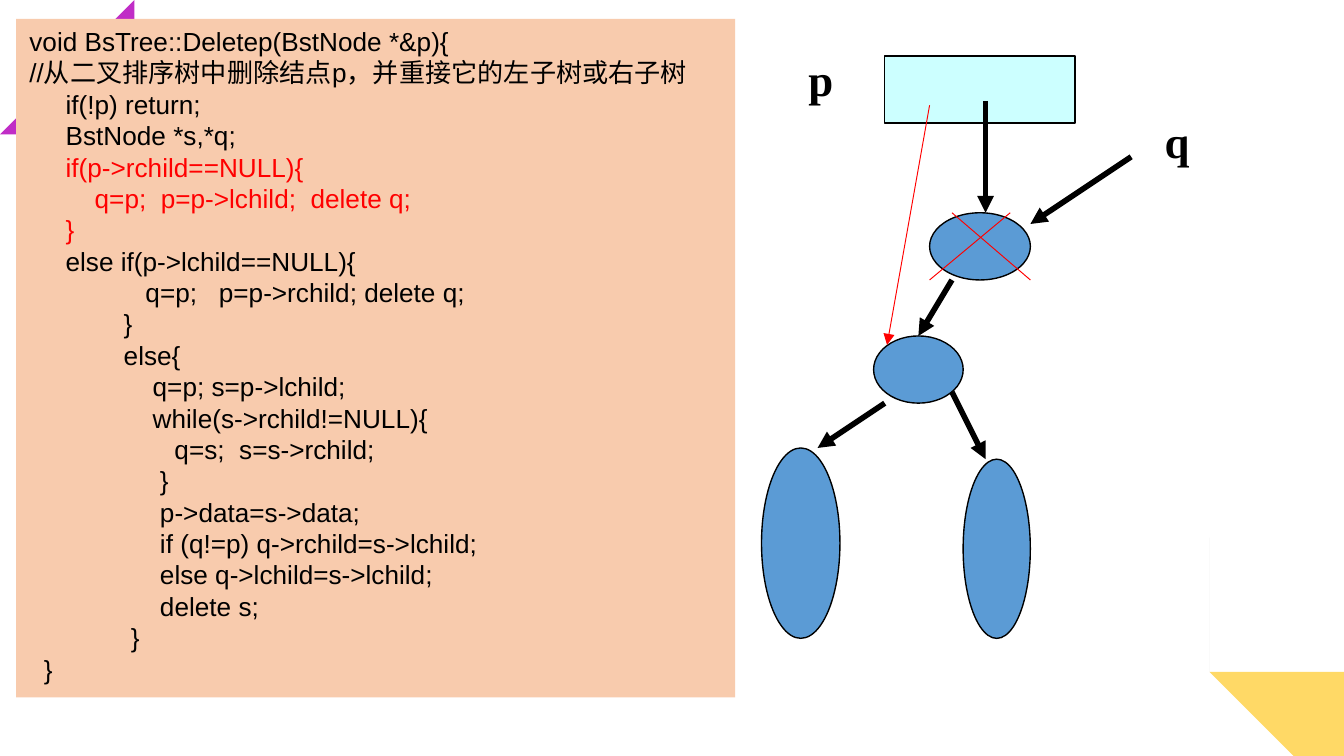
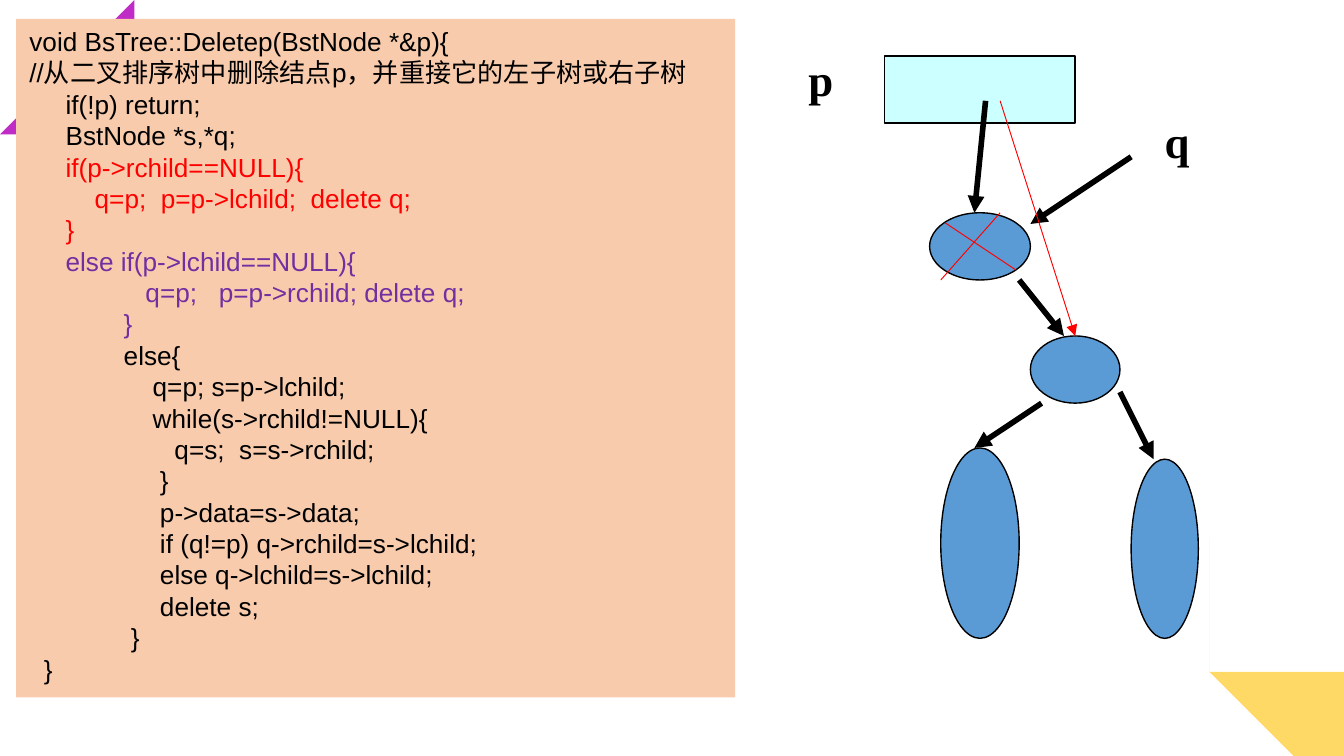
"""Build two slides on deleting a node from a binary search tree."""
from lxml import etree
from pptx import Presentation
from pptx.dml.color import RGBColor
from pptx.enum.shapes import MSO_CONNECTOR, MSO_SHAPE
from pptx.enum.text import MSO_ANCHOR, PP_ALIGN
from pptx.oxml.ns import qn
from pptx.util import Inches, Pt

STRAIGHT = MSO_CONNECTOR.STRAIGHT
RECTANGLE, OVAL = MSO_SHAPE.RECTANGLE, MSO_SHAPE.OVAL
TOP, LEFT = MSO_ANCHOR.TOP, PP_ALIGN.LEFT

BLACK = RGBColor(0x00, 0x00, 0x00)
RED = RGBColor(0xFF, 0x00, 0x00)
VIOLET = RGBColor(0x70, 0x30, 0xA0)
PEACH = RGBColor(0xF8, 0xCB, 0xAD)
NODE_BLUE = RGBColor(0x5B, 0x9B, 0xD5)
PALE_CYAN = RGBColor(0xCC, 0xFF, 0xFF)
MAGENTA = RGBColor(0xC0, 0x2D, 0xC6)
GREY = RGBColor(0xD9, 0xD9, 0xD9)
YELLOW = RGBColor(0xFF, 0xD9, 0x66)

CELL = Inches(1) / 12
COLUMNS, ROWS = 120, 67.5

CHEVRONS = [
    (MAGENTA, [(1.12, 0.51), (0.59, 1.02), (0.31, 1.02), (0.87, 0.5), (0.35, -0.01), (0.62, -0.01)]),
    (GREY, [(9.27, 4.74), (8.96, 5.04), (8.79, 5.04), (9.12, 4.74), (8.82, 4.44), (8.98, 4.44)]),
    (YELLOW, [(9.27, 5.12), (9.79, 5.62), (10.08, 5.63), (9.52, 5.12), (10.02, 4.62), (9.76, 4.61)]),
]

CODE = """void BsTree::Deletep(BstNode *&p){
//从二叉排序树中删除结点p，并重接它的左子树或右子树
     if(!p) return;
     BstNode *s,*q;
     if(p->rchild==NULL){
         q=p;  p=p->lchild;  delete q;
     }
     else if(p->lchild==NULL){
                q=p;   p=p->rchild; delete q;
             }
             else{
                 q=p; s=p->lchild;
                 while(s->rchild!=NULL){
                    q=s;  s=s->rchild;
                  }
                  p->data=s->data;
                  if (q!=p) q->rchild=s->lchild;
                  else q->lchild=s->lchild;
                  delete s;
              }
  }"""
NO_RIGHT_CHILD = dict.fromkeys(range(4, 7), RED)
NO_LEFT_CHILD = dict.fromkeys(range(7, 10), VIOLET)

DELETED_NODE = (83, 19, 9, 6)
POINTER_SLOT = (79, 5, 17, 6)
Q_ARROW = (101, 14, 92, 20)
LABELS = [("p", 71, 4), ("q", 102.8, 9.6)]

CASES = [
    {
        "highlights": NO_RIGHT_CHILD,
        "tree": [(78, 30, 8, 6), (68, 40, 7, 17), (86, 41, 6, 16)],
        "links": [(88, 9, 88, 19), (85, 25, 82, 30), (79, 36, 73, 40), (85, 35, 88, 41)],
        "new_link": (83, 9.4, 79.2, 30.8),
        "cross": [(90.2, 19, 83, 25), (85, 19, 92, 25)],
    },
    {
        "highlights": NO_RIGHT_CHILD | NO_LEFT_CHILD,
        "tree": [(92, 30, 8, 6), (84, 40, 7, 17), (101, 41, 6, 16)],
        "links": [(88, 9, 87, 19), (91, 25, 95, 30), (93, 36, 87, 40), (100, 35, 103, 41)],
        "new_link": (89.3, 9, 96, 30),
        "cross": [(89.3, 19, 84, 25), (84.4, 19.9, 90.7, 24.1)],
    },
]


def write(frame, text, font, size, bold=False, wrap=True, spacing=None, highlights={}):
    """Fill a frame with one paragraph per line of text."""
    frame.word_wrap = wrap
    frame.vertical_anchor = TOP
    for row, line in enumerate(text.split("\n")):
        paragraph = frame.paragraphs[0] if row == 0 else frame.add_paragraph()
        paragraph.alignment = LEFT
        paragraph.line_spacing = spacing
        run = paragraph.add_run()
        run.text = line
        run.font.name = font
        run.font.size = Pt(size)
        run.font.bold = bold
        run.font.color.rgb = highlights.get(row, BLACK)


def draw_line(slide, ends, color, width, arrow=True):
    """Draw a straight line between two grid points."""
    line = slide.shapes.add_connector(STRAIGHT, *[round(end * CELL) for end in ends])
    line.line.color.rgb = color
    line.line.width = Pt(width)
    if arrow:
        etree.SubElement(line.line._get_or_add_ln(), qn("a:tailEnd"), type="triangle")
    etree.SubElement(line._element.spPr, qn("a:effectLst"))


prs = Presentation()
prs.slide_width = round(COLUMNS * CELL)
prs.slide_height = round(ROWS * CELL)

for case in CASES:
    slide = prs.slides.add_slide(prs.slide_layouts[6])

    for color, corners in CHEVRONS:
        outline = slide.shapes.build_freeform(*corners[0], scale=Inches(1))
        outline.add_line_segments(corners[1:], close=True)
        chevron = outline.convert_to_shape()
        chevron.shadow.inherit = False
        chevron.fill.solid()
        chevron.fill.fore_color.rgb = color
        chevron.line.fill.background()

    panel = slide.shapes.add_shape(
        RECTANGLE, Inches(0.12), Inches(0.14), Inches(5.35), Inches(5.05))
    panel.shadow.inherit = False
    panel.fill.solid()
    panel.fill.fore_color.rgb = PEACH
    panel.line.fill.background()
    write(panel.text_frame, CODE, "Arial", 14, spacing=Pt(16.8), highlights=case["highlights"])

    parts = [(OVAL, NODE_BLUE, DELETED_NODE), (RECTANGLE, PALE_CYAN, POINTER_SLOT)]
    parts += [(OVAL, NODE_BLUE, place) for place in case["tree"]]
    for outline, color, place in parts:
        part = slide.shapes.add_shape(outline, *[round(length * CELL) for length in place])
        part.shadow.inherit = False
        part.fill.solid()
        part.fill.fore_color.rgb = color
        part.line.color.rgb = BLACK
        part.line.width = Pt(0.75)

    for name, column, row in LABELS:
        label = slide.shapes.add_textbox(
            round(column * CELL), round(row * CELL), Inches(0.39), Inches(0.5))
        write(label.text_frame, name, "Times New Roman", 24, bold=True, wrap=False)

    for ends in case["links"] + [Q_ARROW]:
        draw_line(slide, ends, BLACK, 3)
    draw_line(slide, case["new_link"], RED, 0.5)
    for ends in case["cross"]:
        draw_line(slide, ends, RED, 0.5, arrow=False)

prs.save("out.pptx")
